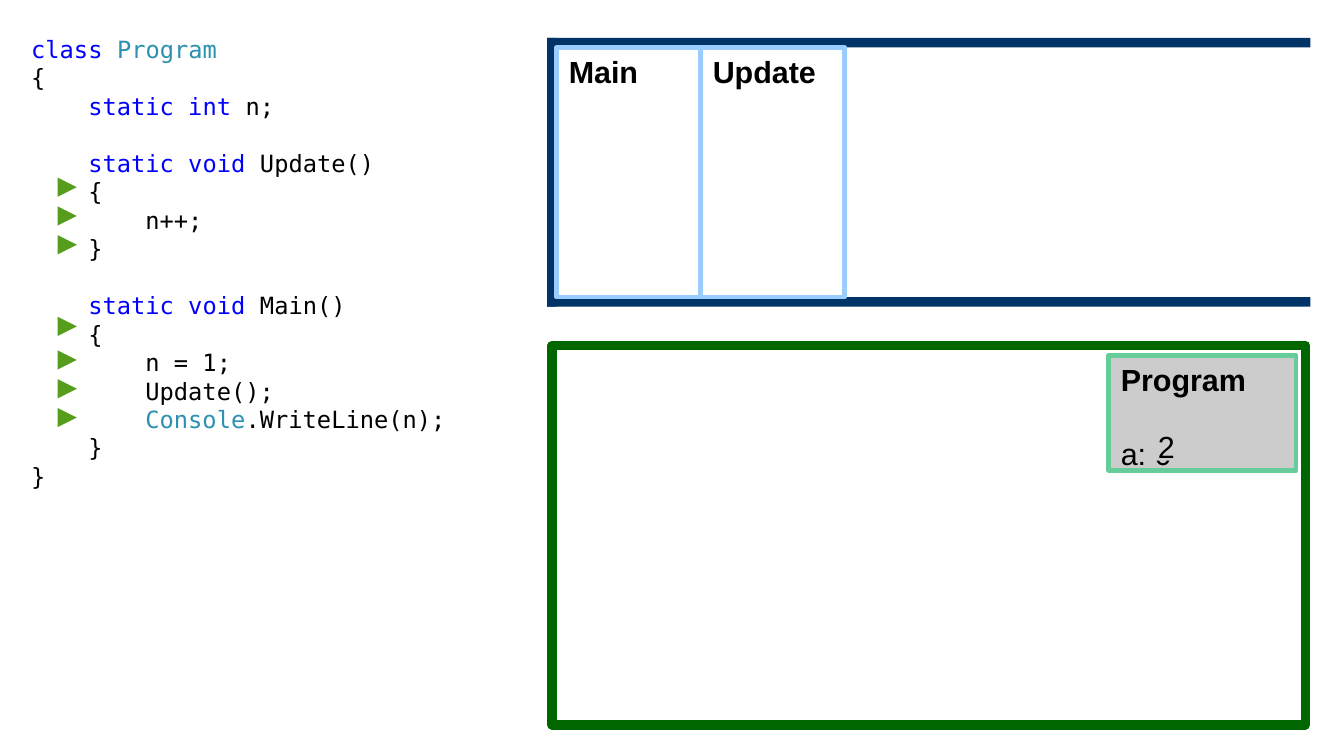
from pptx import Presentation
from pptx.dml.color import RGBColor
from pptx.enum.shapes import MSO_SHAPE
from pptx.enum.text import MSO_ANCHOR, PP_ALIGN
from pptx.util import Cm, Pt

RECTANGLE = MSO_SHAPE.RECTANGLE
TRIANGLE = MSO_SHAPE.ISOSCELES_TRIANGLE
TOP, MIDDLE = MSO_ANCHOR.TOP, MSO_ANCHOR.MIDDLE
LEFT, CENTER = PP_ALIGN.LEFT, PP_ALIGN.CENTER

CODE = [
    (0, False, [("class ", "keyword"), ("Program", "type")]),
    (0, False, [("{", "text")]),
    (1, False, [("static int", "keyword"), (" n;", "text")]),
    (1, True, [("static void", "keyword"), (" Update()", "text")]),
    (1, False, [("{", "text")]),
    (2, False, [("n++;", "text")]),
    (1, False, [("}", "text")]),
    (1, True, [("static void", "keyword"), (" Main()", "text")]),
    (1, False, [("{", "text")]),
    (2, False, [("n = 1;", "text")]),
    (2, False, [("Update();", "text")]),
    (2, False, [("Console", "type"), (".WriteLine(n);", "text")]),
    (1, False, [("}", "text")]),
    (0, False, [("}", "text")]),
]
STACK_FRAMES = ["Main", "Update"]
CLASS_NAME, FIELD, NEW_VALUE = "Program", "a: 0", "2"
MARKER_TOPS = [3.7, 4.3, 4.9, 6.6, 7.3, 7.9, 8.5]

THEME = {
    "colors": {
        "keyword": "0000FF", "type": "2B91AF", "text": "000000",
        "stack": "003366", "frame": "99CCFF", "marker": "579D1C",
        "heap": "006600", "class": "66CC99", "cell": "CCCCCC",
    },
    "code": {"name": "DejaVu Sans Mono", "size": Pt(14)},
    "heading": {"name": "Arial", "size": Pt(18), "bold": True},
    "value": {"name": "Arial", "size": Pt(18), "bold": False},
    "code_line": Pt(16.8),
    "value_gap": Pt(22),
    "thin": Pt(2.83),
    "thick": Pt(5.67),
}

STACK = {"left": 11.4, "top": 0.79, "width": 15.9, "height": 5.6}
BAR = 0.2
FRAME_WIDTH = 3
INDENT = 1.19


def color(name):
    return RGBColor.from_string(THEME["colors"][name])


def set_values(target, values):
    for name, value in values.items():
        setattr(target, name, value)


def add_run(paragraph, text, style, color_name="text"):
    run = paragraph.add_run()
    run.text = text
    set_values(run.font, THEME[style])
    run.font.color.rgb = color(color_name)


def add_box(slide, kind, box, fill=None, line=None, weight="thin"):
    shape = slide.shapes.add_shape(kind, *map(Cm, box))
    shape.shadow.inherit = False
    if fill:
        shape.fill.solid()
        shape.fill.fore_color.rgb = color(fill)
    else:
        shape.fill.background()
    if line:
        shape.line.color.rgb = color(line)
        shape.line.width = THEME[weight]
    else:
        shape.line.fill.background()
    return shape


def add_heading(shape, text):
    set_values(shape.text_frame, {"vertical_anchor": TOP, "word_wrap": True})
    paragraph = shape.text_frame.paragraphs[0]
    paragraph.alignment = LEFT
    add_run(paragraph, text, "heading")


def add_code(slide):
    frame = slide.shapes.add_textbox(Cm(0.4), Cm(0.6), Cm(9.6), Cm(9.5)).text_frame
    frame.word_wrap = True
    for index, (level, gap, parts) in enumerate(CODE):
        paragraph = frame.add_paragraph() if index else frame.paragraphs[0]
        set_values(paragraph, {
            "alignment": LEFT,
            "line_spacing": THEME["code_line"],
            "space_before": THEME["code_line"] if gap else Pt(0),
        })
        paragraph._p.get_or_add_pPr().set("marL", str(Cm(INDENT * level)))
        for text, color_name in parts:
            add_run(paragraph, text, "code", color_name)
    for top in MARKER_TOPS:
        add_box(slide, TRIANGLE, (1.2, top, 0.4, 0.4), "marker").rotation = 90


def add_stack(slide):
    left, top, width, height = STACK.values()
    for bar in [
        (left, top + height - BAR, width, BAR),
        (left, top, BAR, height),
        (left, top, width, BAR),
    ]:
        add_box(slide, RECTANGLE, bar, "stack")
    for index, name in enumerate(STACK_FRAMES):
        box = (left + BAR + index * FRAME_WIDTH, top + BAR, FRAME_WIDTH, height - 2 * BAR)
        add_heading(add_box(slide, RECTANGLE, box, line="frame"), name)


def add_heap(slide):
    add_box(slide, RECTANGLE, (11.5, 7.2, 15.7, 7.9), line="heap", weight="thick")
    program = add_box(slide, RECTANGLE, (23.1, 7.4, 3.9, 2.4), "cell", "class")
    add_heading(program, CLASS_NAME)
    field = program.text_frame.add_paragraph()
    set_values(field, {"alignment": LEFT, "space_before": THEME["value_gap"]})
    add_run(field, FIELD, "value")
    value = add_box(slide, RECTANGLE, (24, 9, 0.6, 0.6), "cell")
    set_values(value.text_frame, {"vertical_anchor": MIDDLE, "word_wrap": False})
    paragraph = value.text_frame.paragraphs[0]
    paragraph.alignment = CENTER
    add_run(paragraph, NEW_VALUE, "value")


def main():
    presentation = Presentation()
    set_values(presentation, {"slide_width": Cm(28), "slide_height": Cm(15.75)})
    slide = presentation.slides.add_slide(presentation.slide_layouts[6])
    add_code(slide)
    add_stack(slide)
    add_heap(slide)
    presentation.save("out.pptx")


if __name__ == "__main__":
    main()
